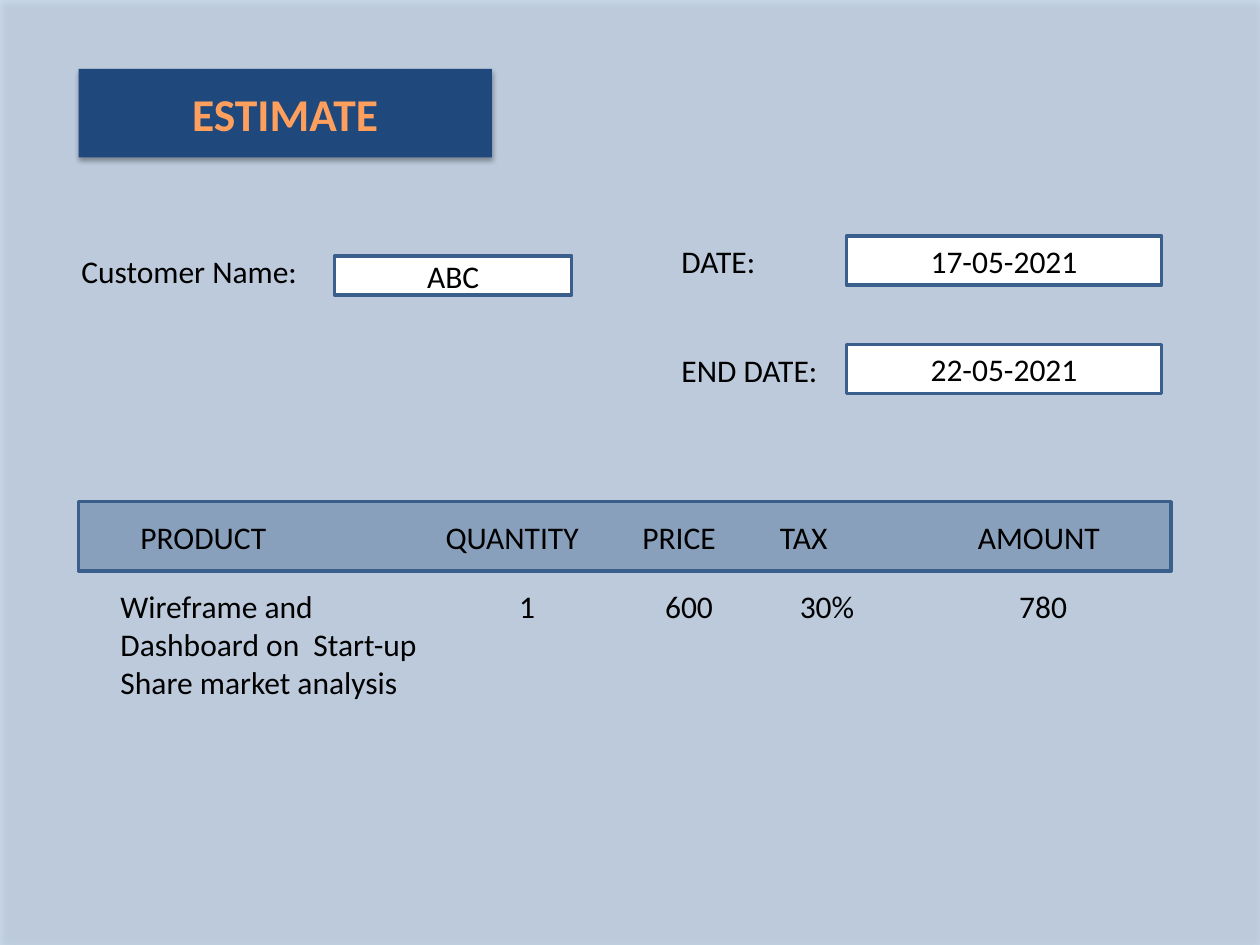
from dataclasses import dataclass
from lxml.etree import SubElement
from pptx import Presentation
from pptx.dml.color import RGBColor
from pptx.enum.shapes import MSO_SHAPE
from pptx.enum.text import MSO_ANCHOR, MSO_AUTO_SIZE, PP_ALIGN
from pptx.oxml.ns import qn
from pptx.shapes.autoshape import Shape
from pptx.util import Pt


@dataclass(frozen=True)
class Theme:
    font: str = "Calibri"
    body: float = 18
    head: float = 26
    ink: str = "000000"
    navy: str = "1F497D"
    blue: str = "4F81BD"
    edge: str = "3A5F8C"
    gold: str = "FF9F5D"
    white: str = "FFFFFF"


@dataclass(frozen=True)
class Box:
    left: float
    top: float
    width: float
    height: float


@dataclass(frozen=True)
class Field:
    label: str
    value: str
    place: Box
    frame: Box


@dataclass(frozen=True)
class Column:
    head: str
    place: Box
    value: str
    cell: Box
    align: PP_ALIGN = PP_ALIGN.LEFT
    body: PP_ALIGN = PP_ALIGN.CENTER


theme = Theme()
deck = Presentation()
deck.slide_width, deck.slide_height = Pt(720), Pt(540)
slide = deck.slides.add_slide(deck.slide_layouts[5])
shapes = slide.shapes


def set_alpha(parent, share: float) -> None:
    SubElement(parent, qn("a:alpha"), val=str(int(share * 1000)))


def paint(shape: Shape, fill: str, share: float = 100, line: bool = True) -> None:
    shape.fill.solid()
    shape.fill.fore_color.rgb = RGBColor.from_string(fill)
    if share < 100:
        set_alpha(shape._element.spPr.find(".//" + qn("a:srgbClr")), share)
    if line:
        shape.line.color.rgb = RGBColor.from_string(theme.edge)
        shape.line.width = Pt(2)
    else:
        shape.line.fill.background()
    shape.shadow.inherit = False


def cast(shape: Shape, share: float, blur: float, dist: float, angle: float) -> None:
    effects = shape._element.spPr.find(qn("a:effectLst"))
    shade = SubElement(effects, qn("a:outerShdw"), blurRad=str(Pt(blur)),
                       dist=str(Pt(dist)), dir=str(int(angle * 60000)),
                       rotWithShape="0")
    set_alpha(SubElement(shade, qn("a:srgbClr"), val=theme.ink), share)


def write(shape: Shape, text: str, align: PP_ALIGN, size: float = theme.body,
          color: str = theme.ink, bold: bool = False) -> None:
    frame = shape.text_frame
    frame.word_wrap = True
    frame.text = text
    para = frame.paragraphs[0]
    para.alignment = align
    para.font.name = theme.font
    para.font.size = Pt(size)
    para.font.bold = bold
    para.font.color.rgb = RGBColor.from_string(color)


def add_rect(box: Box) -> Shape:
    return shapes.add_shape(MSO_SHAPE.RECTANGLE, Pt(box.left), Pt(box.top),
                            Pt(box.width), Pt(box.height))


def add_text(text: str, box: Box, align: PP_ALIGN = PP_ALIGN.LEFT) -> None:
    shape = shapes.add_textbox(Pt(box.left), Pt(box.top), Pt(box.width), Pt(box.height))
    write(shape, text, align)
    shape.text_frame.auto_size = MSO_AUTO_SIZE.SHAPE_TO_FIT_TEXT


def add_field(field: Field) -> None:
    add_text(field.label, field.place)
    shape = add_rect(field.frame)
    paint(shape, theme.white)
    write(shape, field.value, PP_ALIGN.CENTER)
    shape.text_frame.vertical_anchor = MSO_ANCHOR.MIDDLE


def add_column(column: Column) -> None:
    add_text(column.head, column.place, column.align)
    add_text(column.value, column.cell, column.body)


def add_title(text: str, box: Box) -> None:
    title = shapes.title
    title.left, title.top = Pt(box.left), Pt(box.top)
    title.width, title.height = Pt(box.width), Pt(box.height)
    paint(title, theme.navy, line=False)
    cast(title, 35, 3.1, 1.8, 90)
    write(title, text, PP_ALIGN.CENTER, theme.head, theme.gold, True)
    title.text_frame.auto_size = MSO_AUTO_SIZE.NONE
    title.text_frame.vertical_anchor = MSO_ANCHOR.MIDDLE


ROW = 29.1
HEAD = 292.3
BODY = 331.9

fields = [
    Field("Customer Name:", "ABC", Box(39.4, 140.7, 292.3, ROW),
          Box(191.2, 146.2, 135.5, 22.4)),
    Field("DATE:", "17-05-2021", Box(382.3, 134.9, 281.5, ROW),
          Box(483.8, 134.9, 180, 28)),
    Field("END DATE:", "22-05-2021", Box(382.3, 196.8, 275.8, ROW),
          Box(483.8, 196.8, 180, 28)),
]
columns = [
    Column("PRODUCT", Box(73.2, HEAD, 96, ROW),
           "Wireframe and Dashboard on  Start-up Share market analysis",
           Box(61.8, BODY, 186, 72.7), body=PP_ALIGN.LEFT),
    Column("QUANTITY", Box(247.5, HEAD, 96, ROW), "1", Box(253.2, BODY, 96, ROW)),
    Column("PRICE", Box(360, HEAD, 62, ROW), "600", Box(354.4, BODY, 78.8, ROW)),
    Column("TAX", Box(438.6, HEAD, 78.8, ROW), "30%", Box(433.2, BODY, 78.8, ROW)),
    Column("AMOUNT", Box(545.6, HEAD, 96, ROW), "780", Box(556.7, BODY, 78.8, ROW),
           align=PP_ALIGN.CENTER),
]

back = add_rect(Box(0, 0, 720, 540))
paint(back, theme.blue, 29, False)
cast(back, 30, 4.5, 2.6, 53)
back._element.addnext(shapes.title._element)
add_title("ESTIMATE", Box(44.9, 39.4, 236.2, 50.5))
for field in fields:
    add_field(field)
paint(add_rect(Box(44.9, 286.7, 624.4, 39.5)), theme.navy, 32)
for column in columns:
    add_column(column)
deck.save("out.pptx")
